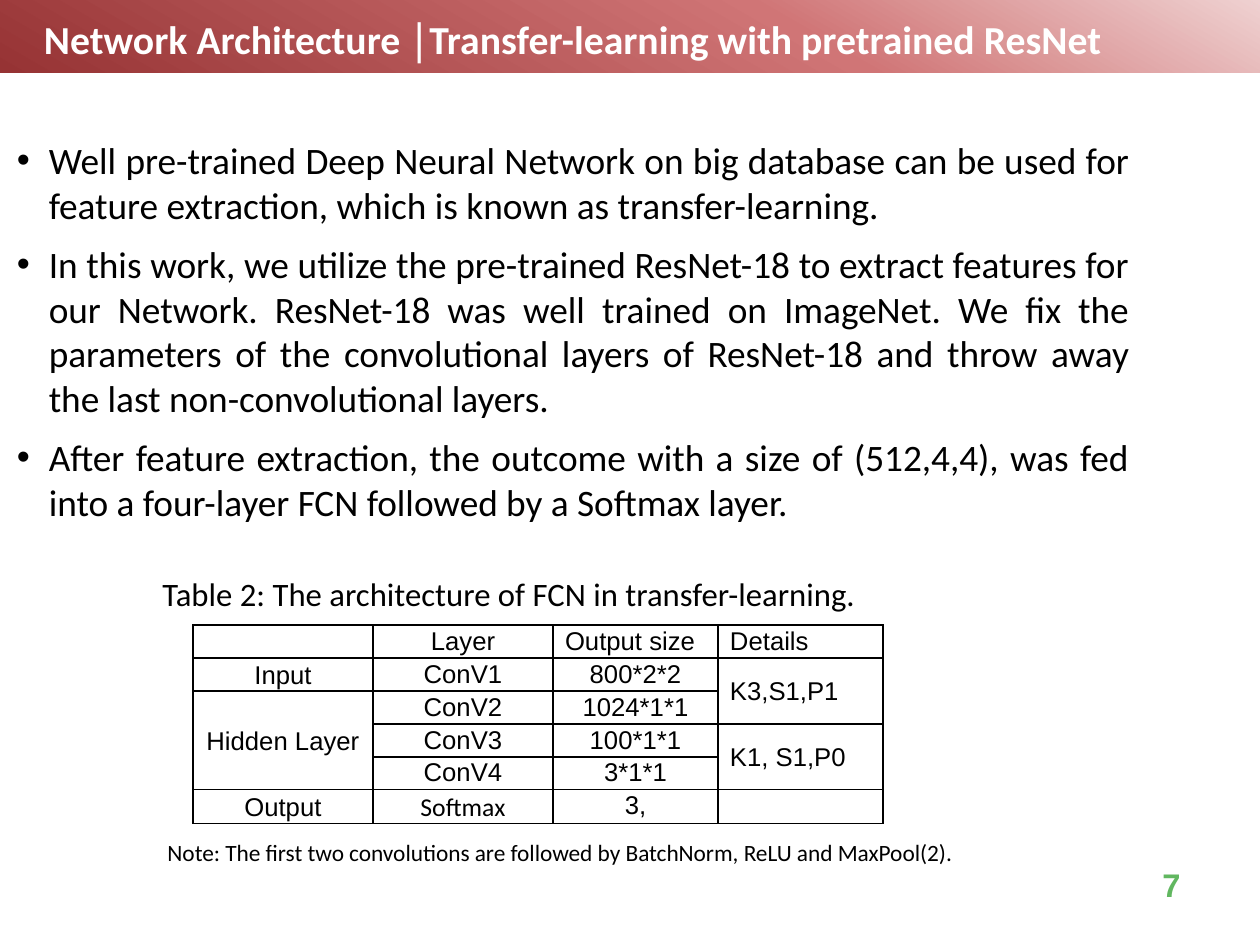
from copy import deepcopy
from dataclasses import dataclass
from pptx import Presentation
from pptx.dml.color import RGBColor
from pptx.enum.shapes import MSO_SHAPE as SHAPE
from pptx.enum.text import MSO_ANCHOR as ANCHOR, MSO_AUTO_SIZE as FIT, PP_ALIGN as ALIGN
from pptx.oxml import parse_xml
from pptx.oxml.ns import nsdecls, qn
from pptx.util import Pt

PX = 914400 // 168  # EMU per pixel


@dataclass(frozen=True)
class Theme:
    ink: str = "000000"
    white: str = "FFFFFF"
    number: str = "61B760"
    band: tuple = ((0, "EFD1D1"), (0.37, "D07576"), (1, "963334"))
    text: str = "Calibri"
    grid: str = "Arial"
    title_pt: int = 17
    body_pt: int = 16
    caption_pt: int = 14
    cell_pt: int = 11
    note_pt: int = 10


T = Theme()


def style(p, size, color=T.ink, name=T.text, bold=False, align=ALIGN.LEFT):
    p.font.size, p.font.name, p.font.bold = Pt(size), name, bold
    p.font.color.rgb = RGBColor.from_string(color)
    p.alignment = align


def place(shape, *box):
    shape.left, shape.top, shape.width, shape.height = [v * PX for v in box]
    tf = shape.text_frame
    tf.word_wrap, tf.auto_size = True, FIT.NONE
    return tf


prs = Presentation()
prs.slide_width, prs.slide_height = 1260 * PX, 945 * PX
s = prs.slides.add_slide(prs.slide_layouts[1])

# Header band, behind the title
band = s.shapes.add_shape(SHAPE.RECTANGLE, 0, 0, 1260 * PX, 73 * PX)
band.shadow.inherit = False
band.line.fill.background()
band.fill.gradient()
band.fill.gradient_angle = 240
stops = band._element.spPr.find(qn("a:gradFill")).find(qn("a:gsLst"))
stops.insert(1, deepcopy(stops[0]))
for stop, (position, color) in zip(band.fill.gradient_stops, T.band):
    stop.position = position
    stop.color.rgb = RGBColor.from_string(color)
s.shapes._spTree.insert(2, band._element)

# Title
tf = place(s.shapes.title, 32, 4, 1184, 70)
tf.margin_left = tf.margin_right = 12 * PX
tf.margin_top = tf.margin_bottom = 7 * PX
tf.vertical_anchor = ANCHOR.MIDDLE
tf.text = "Network Architecture │Transfer-learning with pretrained ResNet"
style(tf.paragraphs[0], T.title_pt, T.white, bold=True)

# Bulleted body
points = [
    "Well pre-trained Deep Neural Network on big database can be used for "
    "feature extraction, which is known as transfer-learning.",
    "In this work, we utilize the pre-trained ResNet-18 to extract features for "
    "our Network. ResNet-18 was well trained on ImageNet. We fix the parameters "
    "of the convolutional layers of ResNet-18 and throw away the last "
    "non-convolutional layers.",
    "After feature extraction, the outcome with a size of (512,4,4), was fed "
    "into a four-layer FCN followed by a Softmax layer.",
]
tf = place(s.placeholders[1], 0, 129, 1147, 407)
tf.text = "\n".join(points)
for p in tf.paragraphs:
    style(p, T.body_pt, align=ALIGN.JUSTIFY)
    p.space_before, p.space_after = Pt(0), Pt(6)
    pPr = p._p.get_or_add_pPr()
    pPr.set("marL", str(32 * PX))
    pPr.set("indent", str(-32 * PX))

# Layer table
rows = [
    ["", "Layer", "Output size", "Details"],
    ["Input", "ConV1", "800*2*2", "K3,S1,P1"],
    ["Hidden Layer", "ConV2", "1024*1*1", ""],
    ["", "ConV3", "100*1*1", "K1, S1,P0"],
    ["", "ConV4", "3*1*1", ""],
    ["Output", "Softmax", "3,", ""],
]
widths = [180, 180, 165, 165]
frame = s.shapes.add_table(len(rows), len(widths), 193 * PX, 625 * PX,
                           sum(widths) * PX, 33 * len(rows) * PX)
table = frame.table
table.first_row = table.horz_banding = False
for column, width in zip(table.columns, widths):
    column.width = width * PX
for r, row in enumerate(rows):
    table.rows[r].height = 33 * PX
    for c, text in enumerate(row):
        cell = table.cell(r, c)
        cell.text = text
        cell.margin_left = cell.margin_right = 12 * PX
        cell.margin_top = cell.margin_bottom = 0
        if c in (0, 3) and r > 0:
            cell.vertical_anchor = ANCHOR.MIDDLE
        p = cell.text_frame.paragraphs[0]
        left = c == 3 or text == "Output size"
        style(p, T.cell_pt, name=T.text if text == "Softmax" else T.grid,
              align=ALIGN.LEFT if left else ALIGN.CENTER)
        p.line_spacing = 1.07
        cell.fill.background()
        tcPr = cell._tc.get_or_add_tcPr()
        for i, side in enumerate("LRTB"):
            heavy = c >= 2 and (r, side) in ((2, "B"), (3, "T"))
            tcPr.insert(i, parse_xml(
                f'<a:ln{side} {nsdecls("a")} w="{Pt(1 if heavy else 0.75)}"><a:solidFill>'
                f'<a:srgbClr val="{T.ink}"/></a:solidFill></a:ln{side}>'))
for column, first, last in [(0, 2, 4), (3, 1, 2), (3, 3, 4)]:
    table.cell(first, column).merge(table.cell(last, column))

# Caption, note and page number
for text, box, size in [
    ("Table 2: The architecture of FCN in transfer-learning.", (146, 563, 783, 57), T.caption_pt),
    ("Note: The first two convolutions are followed by BatchNorm, ReLU and MaxPool(2).",
     (151, 828, 842, 45), T.note_pt),
]:
    tf = place(s.shapes.add_textbox(0, 0, 0, 0), *box)
    tf.text = text
    style(tf.paragraphs[0], size)
    tf.paragraphs[0].line_spacing = 1.07
    tf.paragraphs[0].space_after = Pt(8)
tf = place(s.shapes.add_textbox(0, 0, 0, 0), 1146, 857, 100, 50)
tf.text = "7"
style(tf.paragraphs[0], T.caption_pt, T.number, T.grid, bold=True)

prs.save("out.pptx")
